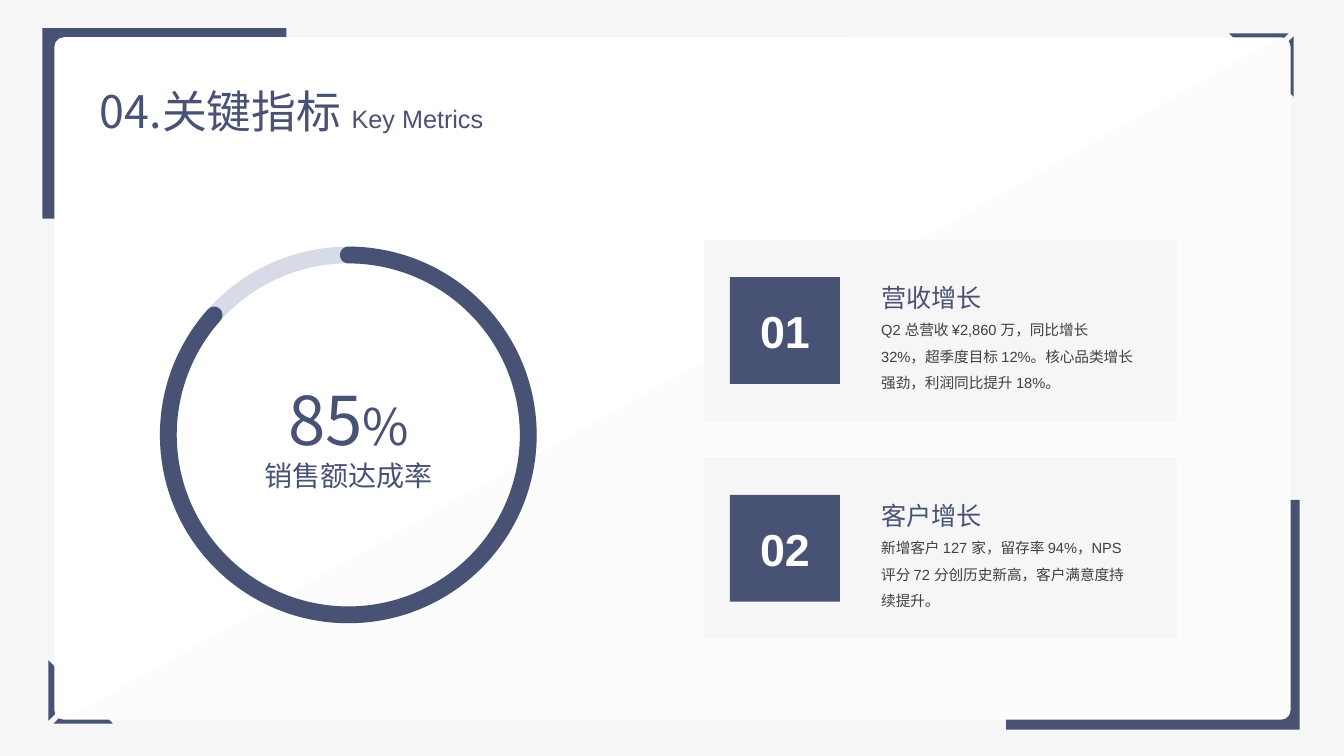
import math

import lxml.etree
import pptx
import pptx.dml.color
import pptx.enum.shapes
import pptx.enum.text
import pptx.oxml.ns
import pptx.util

NAVY = pptx.dml.color.RGBColor(0x48, 0x52, 0x75)
PALE_BLUE = pptx.dml.color.RGBColor(0xD7, 0xDB, 0xE7)
LIGHT_GREY = pptx.dml.color.RGBColor(0xF6, 0xF6, 0xF6)
SHEEN_GREY = pptx.dml.color.RGBColor(0xF2, 0xF2, 0xF2)
TEXT_GREY = pptx.dml.color.RGBColor(0x40, 0x40, 0x40)
WHITE = pptx.dml.color.RGBColor(0xFF, 0xFF, 0xFF)

CELL = pptx.util.Inches(1)
COLUMNS, ROWS = 13.33, 7.5
LATIN_FONT = "Arial"
CHINESE_FONT = "Noto Sans CJK SC"
SHAPES = pptx.enum.shapes.MSO_SHAPE
ALIGN = pptx.enum.text.PP_ALIGN
ANCHOR = pptx.enum.text.MSO_ANCHOR

CARDS = [
    ("01", "营收增长",
     "Q2 总营收 ¥2,860 万，同比增长 32%，超季度目标 12%。核心品类增长强劲，利润同比提升 18%。"),
    ("02", "客户增长",
     "新增客户 127 家，留存率 94%，NPS 评分 72 分创历史新高，客户满意度持续提升。"),
]
CARD_TOP, CARD_STEP = 2.38, 2.16


def cells(*counts):
    return [round(count * CELL) for count in counts]


def add_child(parent, tag, **attributes):
    child = lxml.etree.SubElement(parent, pptx.oxml.ns.qn(tag))
    for name, value in attributes.items():
        child.set(name, value)
    return child


def paint(shape, color):
    shape.shadow.inherit = False
    shape.fill.solid()
    shape.fill.fore_color.rgb = color
    shape.line.fill.background()


def add_block(slide, kind, area, color):
    shape = slide.shapes.add_shape(kind, *cells(*area))
    paint(shape, color)
    return shape


def add_polygon(slide, points, color):
    start, *rest = [cells(*point) for point in points]
    builder = slide.shapes.build_freeform(*start)
    builder.add_line_segments(rest, close=True)
    shape = builder.convert_to_shape()
    paint(shape, color)
    return shape


def add_ring(slide, kind, area, color):
    ring = slide.shapes.add_shape(kind, *cells(*area))
    ring.shadow.inherit = False
    ring.fill.background()
    ring.line.color.rgb = color
    ring.line.width = pptx.util.Pt(12)
    return ring


def add_run(paragraph, text, size, color, font=LATIN_FONT, bold=False):
    run = paragraph.add_run()
    run.text = text
    run.font.size = pptx.util.Pt(size)
    run.font.bold = bold
    run.font.color.rgb = color
    run.font.name = font
    add_child(run.font._element, "a:ea", typeface=CHINESE_FONT)


def prepare_paragraph(paragraph, alignment=ALIGN.LEFT, line_spacing=1.0):
    properties = paragraph._p.get_or_add_pPr()
    properties.set("marL", "0")
    properties.set("indent", "0")
    add_child(properties, "a:buNone")
    paragraph.alignment = alignment
    paragraph.line_spacing = line_spacing
    paragraph.space_before = paragraph.space_after = pptx.util.Pt(0)
    return paragraph


def prepare_frame(shape, wrap=True, anchor=ANCHOR.TOP):
    frame = shape.text_frame
    frame.auto_size = pptx.enum.text.MSO_AUTO_SIZE.NONE
    frame.word_wrap = wrap
    frame.vertical_anchor = anchor
    return frame


def place_in_front(placeholder, area):
    placeholder.left, placeholder.top, placeholder.width, placeholder.height = cells(*area)
    placeholder.element.getparent().append(placeholder.element)


def corner_arc(center_x, center_y, radius, start_angle):
    angles = [math.radians(start_angle + 15 * step) for step in range(7)]
    return [(center_x + radius * math.cos(angle), center_y + radius * math.sin(angle))
            for angle in angles]


def add_frame(slide):
    add_block(slide, SHAPES.RECTANGLE, (0.42, 0.28, 2.42, 1.89), NAVY)
    add_block(slide, SHAPES.RECTANGLE, (9.98, 4.96, 2.91, 2.28), NAVY)
    upright = [(0.63, 6.7), (0.63, 7), (0.48, 7.15), (0.48, 6.55)]
    level = [(1.12, 7.18), (0.53, 7.18), (0.68, 7.03), (0.98, 7.03)]
    for bar in (upright, level):
        add_polygon(slide, bar, NAVY)
        opposite = [(COLUMNS - 0.02 - x, ROWS + 0.01 - y) for x, y in bar]
        add_polygon(slide, opposite, NAVY)
    panel = add_block(slide, SHAPES.ROUNDED_RECTANGLE, (0.54, 0.37, 12.26, 6.77), WHITE)
    panel.adjustments[0] = 0.014
    outline = (corner_arc(12.7, 0.47, 0.1, -90) + corner_arc(12.7, 7.03, 0.1, 0)
               + [(0.66, 7.13)])
    sheen = add_polygon(slide, outline, SHEEN_GREY)
    color = sheen.fill._xPr.find(".//" + pptx.oxml.ns.qn("a:srgbClr"))
    add_child(color, "a:alpha", val="16000")


def add_title(slide):
    title = slide.shapes.title
    place_in_front(title, (0.89, 0.78, 5.33, 0.64))
    paragraph = prepare_paragraph(prepare_frame(title, wrap=False).paragraphs[0])
    add_run(paragraph, "04.关键指标 ", 32, NAVY, CHINESE_FONT)
    add_run(paragraph, "Key Metrics", 18, NAVY)


def add_gauge(slide):
    area = (1.67, 2.53, 3.57, 3.57)
    add_ring(slide, SHAPES.OVAL, area, PALE_BLUE)
    progress = add_ring(slide, SHAPES.ARC, area, NAVY)
    progress.adjustments[0] = 162
    progress.adjustments[1] = 133.09
    progress.line._get_or_add_ln().set("cap", "rnd")
    label = slide.shapes.add_textbox(*cells(2.52, 3.7, 1.88, 1.25))
    frame = prepare_frame(label)
    value = prepare_paragraph(frame.paragraphs[0], ALIGN.CENTER)
    add_run(value, "85", 48, NAVY, CHINESE_FONT)
    add_run(value, "%", 36, NAVY, CHINESE_FONT)
    caption = prepare_paragraph(frame.add_paragraph(), ALIGN.CENTER)
    add_run(caption, "销售额达成率", 20, NAVY, CHINESE_FONT)


def add_card(slide, body, top, number, heading, description):
    add_block(slide, SHAPES.RECTANGLE, (6.98, top, 4.69, 1.8), LIGHT_GREY)
    badge = add_block(slide, SHAPES.RECTANGLE, (7.24, top + 0.37, 1.09, 1.06), NAVY)
    frame = prepare_frame(badge, anchor=ANCHOR.MIDDLE)
    paragraph = prepare_paragraph(frame.paragraphs[0], ALIGN.CENTER)
    add_run(paragraph, number, 32, WHITE, bold=True)
    place_in_front(body, (8.64, top + 0.22, 2.7, 1.35))
    frame = prepare_frame(body)
    paragraph = prepare_paragraph(frame.paragraphs[0], line_spacing=1.5)
    add_run(paragraph, heading, 18, NAVY)
    paragraph = prepare_paragraph(frame.add_paragraph(), line_spacing=1.5)
    add_run(paragraph, description, 10.5, TEXT_GREY)


def main():
    presentation = pptx.Presentation()
    presentation.slide_width, presentation.slide_height = cells(COLUMNS, ROWS)
    slide = presentation.slides.add_slide(presentation.slide_layouts.get_by_name("Two Content"))
    slide.background.fill.solid()
    slide.background.fill.fore_color.rgb = LIGHT_GREY
    bodies = list(slide.placeholders)[1:]
    add_frame(slide)
    add_title(slide)
    add_gauge(slide)
    for index, (body, card) in enumerate(zip(bodies, CARDS)):
        add_card(slide, body, CARD_TOP + index * CARD_STEP, *card)
    presentation.save("out.pptx")


if __name__ == "__main__":
    main()
